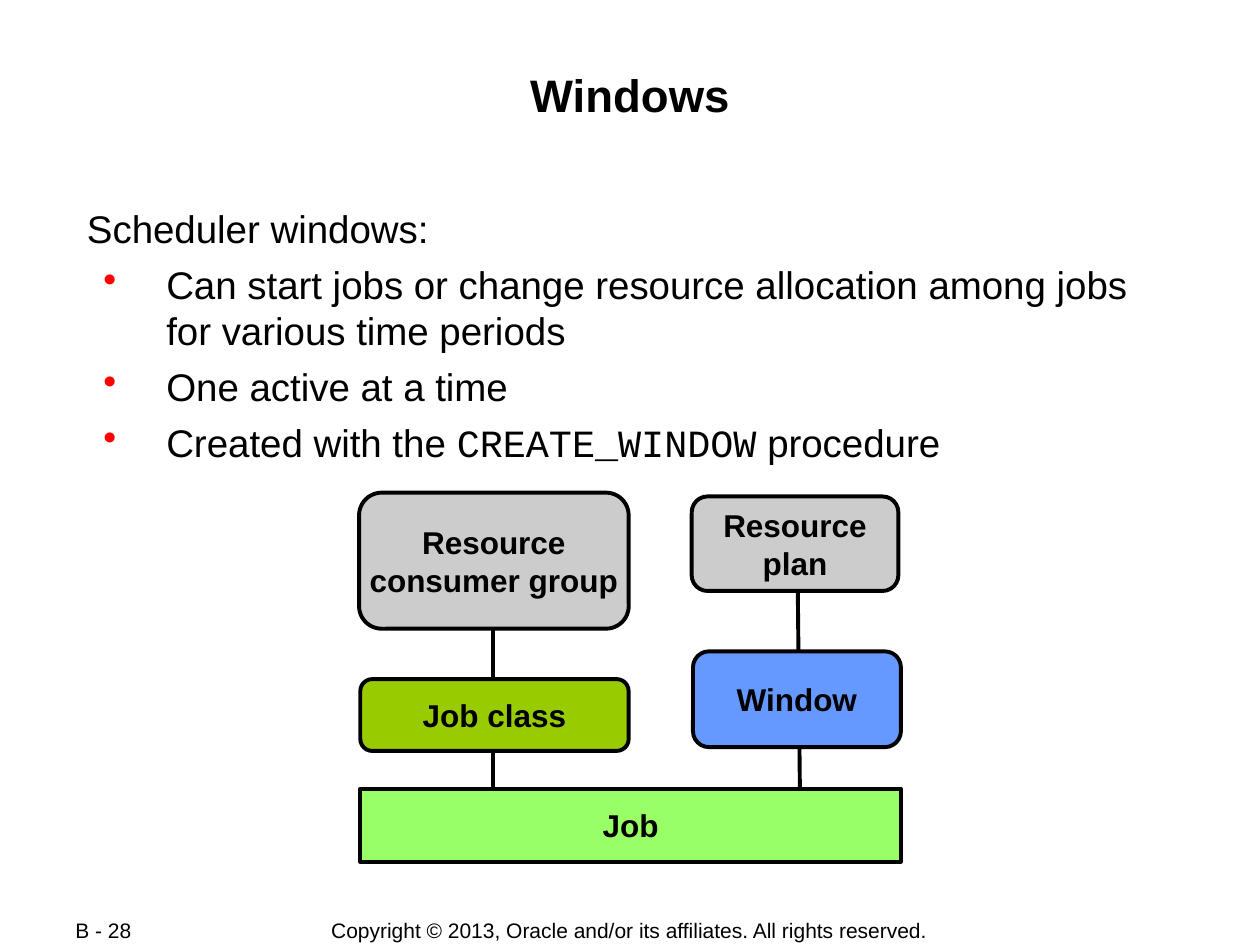
import pptx
import pptx.dml.color
import pptx.enum.shapes
import pptx.enum.text
import pptx.oxml
import pptx.oxml.ns
import pptx.util
from dataclasses import dataclass

Inches = pptx.util.Inches
Pt = pptx.util.Pt
Align = pptx.enum.text.PP_ALIGN
Anchor = pptx.enum.text.MSO_ANCHOR
Shape = pptx.enum.shapes.MSO_SHAPE


@dataclass(frozen=True)
class Theme:
    font: str = "Arial"
    code_font: str = "Courier New"
    ink: str = "000000"
    bullet: str = "FF0000"
    resource: str = "CCCCCC"
    window: str = "6699FF"
    job_class: str = "99CC00"
    job: str = "99FF66"
    title_size: float = 26
    body_size: float = 22
    label_size: float = 18
    footer_size: float = 12
    line_width: float = 2.25


def rgb(value):
    return pptx.dml.color.RGBColor.from_string(value)


def add_xml(parent, xml):
    namespace = pptx.oxml.ns.nsdecls("a")
    parent.append(pptx.oxml.parse_xml(xml.replace("/>", f" {namespace}/>", 1)))


class SlideBuilder:
    def __init__(self, slide, theme):
        self.slide = slide
        self.theme = theme

    def style_runs(self, para, size, bold=False):
        for run in para.runs:
            run.font.name = self.theme.font
            run.font.size = Pt(size)
            run.font.bold = bold
            run.font.color.rgb = rgb(self.theme.ink)

    def set_frame(self, frame, insets, anchor, wrap):
        """Set the frame's insets, given as left/right and top/bottom."""
        frame.margin_left = frame.margin_right = Inches(insets[0])
        frame.margin_top = frame.margin_bottom = Inches(insets[1])
        frame.vertical_anchor = anchor
        frame.word_wrap = wrap
        frame.auto_size = pptx.enum.text.MSO_AUTO_SIZE.NONE

    def add_title(self, text, left, top, width, height):
        title = self.slide.shapes.title
        title.left, title.top = Inches(left), Inches(top)
        title.width, title.height = Inches(width), Inches(height)
        frame = title.text_frame
        frame.text = text
        self.set_frame(frame, (0.01, 0.05), Anchor.TOP, True)
        para = frame.paragraphs[0]
        para.alignment = Align.CENTER
        para.space_before = Pt(0)
        self.style_runs(para, self.theme.title_size, bold=True)

    def add_text_box(self, left, top, width, height):
        return self.slide.shapes.add_textbox(
            Inches(left), Inches(top), Inches(width), Inches(height))

    def add_footer(self, text, left, width, align, wrap):
        frame = self.add_text_box(left, 7.28, width, 0.2).text_frame
        frame.text = text
        self.set_frame(frame, (0.1, 0.05), Anchor.MIDDLE, wrap)
        para = frame.paragraphs[0]
        para.alignment = align
        self.style_runs(para, self.theme.footer_size)

    def add_bullets(self, intro, items, left, top, width, height):
        """Add an intro line and bullets; each item is a list of (text, is_code)."""
        frame = self.add_text_box(left, top, width, height).text_frame
        frame.text = intro
        self.set_frame(frame, (0.02, 0.05), Anchor.TOP, True)
        self.style_runs(frame.paragraphs[0], self.theme.body_size)
        for parts in items:
            para = frame.add_paragraph()
            para.level = 1
            para.space_before = Pt(5.5)
            properties = para._p.get_or_add_pPr()
            properties.set("marL", str(Inches(0.63)))
            properties.set("indent", str(Inches(-0.5)))
            add_xml(properties, "<a:buClr/>")
            add_xml(properties[-1], f'<a:srgbClr val="{self.theme.bullet}"/>')
            add_xml(properties, '<a:buChar char="•"/>')
            for text, _ in parts:
                para.add_run().text = text
            self.style_runs(para, self.theme.body_size)
            for run, (_, is_code) in zip(para.runs, parts):
                if is_code:
                    run.font.name = self.theme.code_font

    def add_line(self, start, end):
        line = self.slide.shapes.add_connector(
            pptx.enum.shapes.MSO_CONNECTOR.STRAIGHT,
            *(Inches(value) for value in start + end))
        line.line.color.rgb = rgb(self.theme.ink)
        line.line.width = Pt(self.theme.line_width)
        add_xml(line._element.spPr, "<a:effectLst/>")

    def add_box(self, text, fill, left, top, width, height,
                kind=Shape.ROUNDED_RECTANGLE):
        box = self.slide.shapes.add_shape(
            kind, Inches(left), Inches(top), Inches(width), Inches(height))
        box.shadow.inherit = False
        box.fill.solid()
        box.fill.fore_color.rgb = rgb(fill)
        box.line.color.rgb = rgb(self.theme.ink)
        box.line.width = Pt(self.theme.line_width)
        frame = box.text_frame
        frame.text = text
        self.set_frame(frame, (0.05, 0.05), Anchor.MIDDLE, False)
        for para in frame.paragraphs:
            para.alignment = Align.CENTER
            self.style_runs(para, self.theme.label_size, bold=True)


def main():
    deck = pptx.Presentation()
    deck.slide_width, deck.slide_height = Inches(10), Inches(7.5)
    theme = Theme()
    builder = SlideBuilder(deck.slides.add_slide(deck.slide_layouts[5]), theme)

    builder.add_footer(
        "Copyright © 2013, Oracle and/or its affiliates. All rights reserved.",
        2.75, 4.49, Align.CENTER, False)
    builder.add_footer("B - 28", 0.5, 1.06, Align.LEFT, True)
    builder.add_title("Windows", 0.67, 0.48, 8.66, 0.96)
    builder.add_bullets("Scheduler windows:", [
        [("Can start jobs or change resource allocation among jobs "
          "for various time periods", False)],
        [("One active at a time", False)],
        [("Created with the ", False), ("CREATE_WINDOW", True),
         (" procedure", False)],
    ], 0.67, 1.58, 8.66, 2.09)

    # The lines run behind the boxes, down to the job.
    builder.add_line((6.33, 4.51), (6.35, 6.42))
    builder.add_line((3.91, 4.72), (3.91, 6.42))
    builder.add_box("Resource\nplan", theme.resource, 5.49, 3.94, 1.64, 0.75)
    builder.add_box("Resource\nconsumer group", theme.resource,
                    2.85, 3.91, 2.14, 1.08)
    builder.add_box("Window", theme.window, 5.5, 5.17, 1.65, 0.76)
    builder.add_box("Job class", theme.job_class, 2.86, 5.39, 2.13, 0.57)
    builder.add_box("Job", theme.job, 2.86, 6.26, 4.29, 0.58, Shape.RECTANGLE)

    deck.save("out.pptx")


if __name__ == "__main__":
    main()
